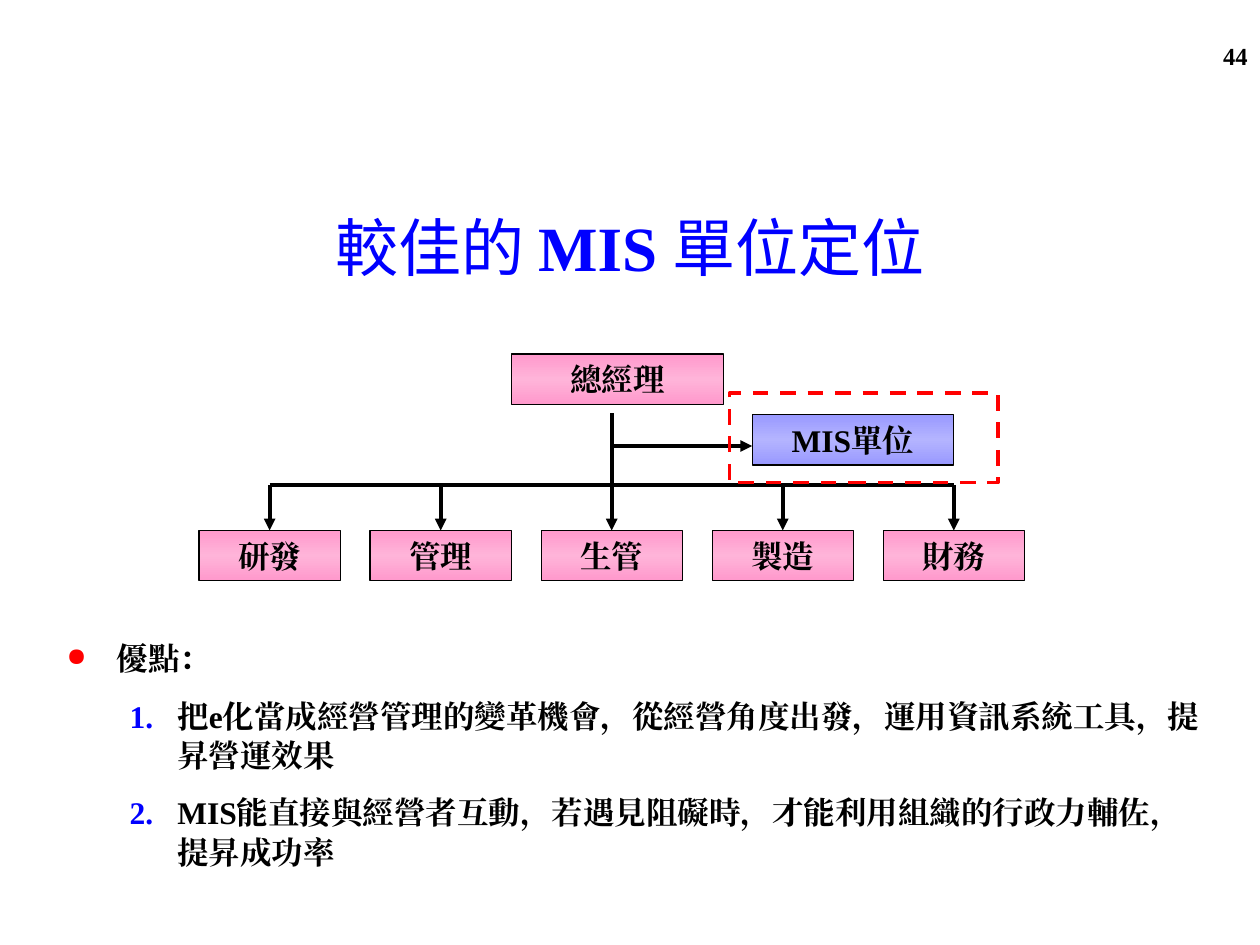
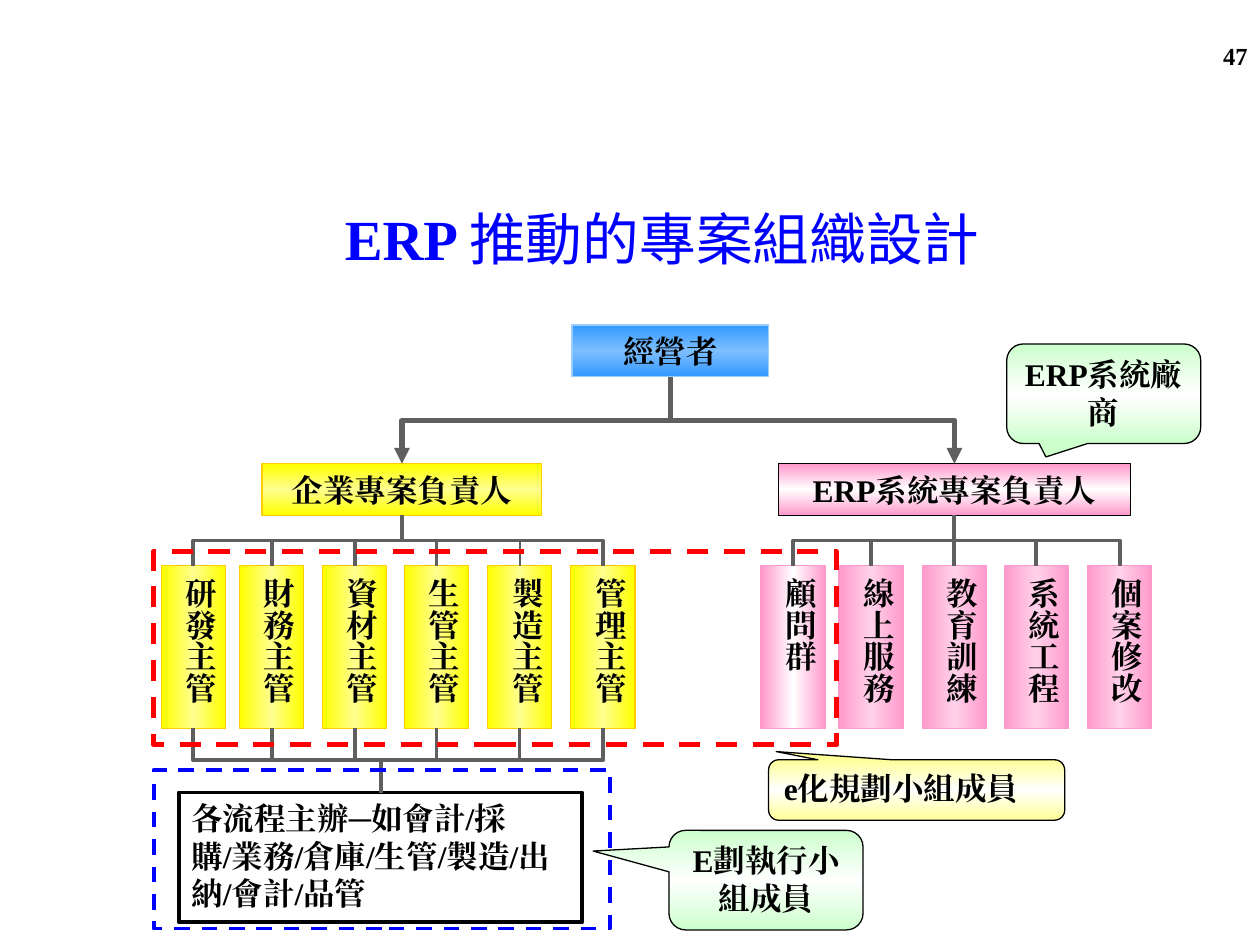
"""Build two slides on where the MIS unit sits and how an ERP project is organised."""
from copy import deepcopy

from lxml import etree
from pptx import Presentation
from pptx.dml.color import RGBColor
from pptx.enum.dml import MSO_LINE
from pptx.enum.shapes import MSO_CONNECTOR, MSO_SHAPE
from pptx.enum.text import MSO_ANCHOR, PP_ALIGN
from pptx.oxml.ns import qn
from pptx.util import Inches, Pt

RECTANGLE = MSO_SHAPE.RECTANGLE
CALLOUT = MSO_SHAPE.ROUNDED_RECTANGULAR_CALLOUT
STRAIGHT, ELBOW = MSO_CONNECTOR.STRAIGHT, MSO_CONNECTOR.ELBOW
LEFT, CENTER, RIGHT = PP_ALIGN.LEFT, PP_ALIGN.CENTER, PP_ALIGN.RIGHT
TOP, MIDDLE = MSO_ANCHOR.TOP, MSO_ANCHOR.MIDDLE
DASH = MSO_LINE.DASH
TOP_SIDE, BOTTOM_SIDE = 0, 2

LATIN, CJK = "Times New Roman", "Noto Sans CJK JP"
COLORS = {
    "black": "000000", "white": "FFFFFF", "red": "FF0000", "blue": "0000FF",
    "gray": "5F5F5F", "pink": "FF99CC", "pink_light": "FFB4D9", "pink_pale": "FFD2E9",
    "violet": "9999FF", "violet_light": "B4B4FF", "sky": "3399FF", "sky_light": "7DBEFF",
    "sky_edge": "99CCFF", "yellow": "FFFF00", "yellow_light": "FFFF8F", "gold": "FFCC00",
    "cream": "FFFF99", "mint": "CCFFCC",
}
PINK = ("pink", "pink_light")
PINK_WHITE = ("pink", "white")
PINK_PALE = ("pink", "pink_pale")
YELLOW = ("yellow", "yellow_light")
MINT = ("mint", "white")

DEPARTMENTS = ["研發", "管理", "生管", "製造", "財務"]
DEPARTMENT_LEFT, DEPARTMENT_STEP, DEPARTMENT_TOP = 1.58, 1.3575, 4.21
BUS_Y = 3.85
ADVANTAGES = [
    "優點：",
    "把e化當成經營管理的變革機會，從經營角度出發，運用資訊系統工具，提昇營運效果",
    "MIS能直接與經營者互動，若遇見阻礙時，才能利用組織的行政力輔佐，提昇成功率",
]

COLUMN_OFFSETS = [0, 0.62, 1.28, 1.93, 2.59, 3.25]
COLUMN_SIZE = (0.51, 1.29)
COLUMN_TOP = 4.49
COMPANY_TEAM = ["研發主管", "財務主管", "資材主管", "生管主管", "製造主管", "管理主管"]
THIN_COLUMNS = ("生管主管", "製造主管")
VENDOR_TEAM = ["顧問群", "線上服務", "教育訓練", "系統工程", "個案修改"]
PROCESS_OWNERS = "各流程主辦─如會計/採購/業務/倉庫/生管/製造/出納/會計/品管"
CALLOUTS = [
    ("e化規劃小組成員", (6.1, 6.03, 2.35, 0.48), ("cream", "white"), (-0.474, -0.636), LEFT),
    ("E劃執行小組成員", (5.31, 6.59, 1.54, 0.79), MINT, (-0.891, -0.292), CENTER),
    ("ERP系統廠商", (7.99, 2.73, 1.54, 0.79), MINT, (-0.298, 0.635), CENTER),
]


def color(name):
    return RGBColor.from_string(COLORS[name])


def inches(values):
    return [Inches(value) for value in values]


def style_run(run, size, ink="black", bold=True, east_asian=LATIN):
    run.font.size, run.font.bold, run.font.name = Pt(size), bold, LATIN
    run.font.color.rgb = color(ink)
    etree.SubElement(run.font._element, qn("a:ea")).set("typeface", east_asian)


def write(shape, text, align=CENTER, anchor=MIDDLE, size=18):
    frame = shape.text_frame
    frame.word_wrap, frame.vertical_anchor = True, anchor
    frame.text = text
    frame.paragraphs[0].alignment = align
    style_run(frame.paragraphs[0].runs[0], size)


def add_box(slide, area, fill=None, line="black", width=0.75, kind=RECTANGLE, across=False):
    shape = slide.shapes.add_shape(kind, *inches(area))
    shape.shadow.inherit = False
    if fill is None:
        shape.fill.background()
    elif isinstance(fill, str):
        shape.fill.solid()
        shape.fill.fore_color.rgb = color(fill)
    else:
        edge, middle = fill
        shape.fill.gradient()
        shape.fill.gradient_angle = 0 if across else 90
        first = shape.fill.gradient_stops[0]._gs
        first.addnext(deepcopy(first))
        for position, (stop, name) in enumerate(zip(shape.fill.gradient_stops, (edge, middle, edge))):
            stop.position = position / 2
            stop.color.rgb = color(name)
    if line is None:
        shape.line.fill.background()
    else:
        shape.line.color.rgb = color(line)
        shape.line.width = Pt(width)
    return shape


def add_label(slide, text, area, fill, line="black"):
    shape = add_box(slide, area, fill, line)
    write(shape, text)
    return shape


def add_frame(slide, area, line, width=2.25):
    add_box(slide, area, None, line, width).line.dash_style = DASH


def finish_line(connector, ink, width, arrow):
    connector.line.color.rgb = color(ink)
    connector.line.width = Pt(width)
    if arrow:
        etree.SubElement(connector.line._get_or_add_ln(), qn("a:tailEnd")).set("type", "triangle")
    etree.SubElement(connector._element.spPr, qn("a:effectLst"))


def add_line(slide, start, end, arrow=True, target=None):
    connector = slide.shapes.add_connector(STRAIGHT, *inches(start + end))
    if target is not None:
        connector.end_connect(target, TOP_SIDE)
    finish_line(connector, "black", 2.25, arrow)


def add_branch(slide, upper, lower, width=2.25, arrow=False):
    """Join the bottom of one box to the top of another with a vertical elbow."""
    connector = slide.shapes.add_connector(ELBOW, 0, 0, 0, 0)
    connector.begin_connect(upper, BOTTOM_SIDE)
    connector.end_connect(lower, TOP_SIDE)
    start_x, end_x = upper.left + upper.width // 2, lower.left + lower.width // 2
    start_y, end_y = upper.top + upper.height, lower.top
    drop, spread = end_y - start_y, abs(end_x - start_x)
    to_left = end_x < start_x
    frame = connector._element.spPr.find(qn("a:xfrm"))
    for name in ("flipH", "flipV"):
        frame.attrib.pop(name, None)
    frame.set("rot", "5400000" if to_left else "16200000")
    if not to_left:
        frame.set("flipH", "1")
    connector.left = (start_x + end_x - drop) // 2
    connector.top = (start_y + end_y - spread) // 2
    connector.width, connector.height = drop, spread
    finish_line(connector, "gray", width, arrow)


def add_base(presentation, number, title_area, title_runs, size):
    slide = presentation.slides.add_slide(presentation.slide_layouts[6])
    page = slide.shapes.add_textbox(*inches((7.67, 0.28, 2.33, 0.52)))
    write(page, number, RIGHT, TOP, 14)
    title = slide.shapes.add_textbox(*inches(title_area))
    title.text_frame.word_wrap, title.text_frame.vertical_anchor = True, MIDDLE
    paragraph = title.text_frame.paragraphs[0]
    paragraph.alignment = CENTER
    for text, bold in title_runs:
        run = paragraph.add_run()
        run.text = text
        style_run(run, size, "blue", bold, CJK)
        if not bold:
            run.font.name = CJK
    return slide


def add_bullet(paragraph, ink, margin, hanging, symbol=None):
    properties = paragraph._p.get_or_add_pPr()
    properties.set("marL", str(Inches(margin)))
    properties.set("indent", str(-Inches(hanging)))
    bullet_color = etree.SubElement(properties, qn("a:buClr"))
    etree.SubElement(bullet_color, qn("a:srgbClr")).set("val", COLORS[ink])
    if symbol:
        etree.SubElement(properties, qn("a:buSzPct")).set("val", "80000")
        etree.SubElement(properties, qn("a:buChar")).set("char", symbol)
    else:
        etree.SubElement(properties, qn("a:buAutoNum")).set("type", "arabicPeriod")


def add_advantages(slide):
    panel = add_box(slide, (0.43, 5.01, 9.29, 1.98), "white", None)
    frame = panel.text_frame
    frame.word_wrap, frame.vertical_anchor = True, TOP
    frame.text = "\n".join(ADVANTAGES)
    for index, paragraph in enumerate(frame.paragraphs):
        paragraph.alignment, paragraph.line_spacing = LEFT, 1.05
        if index == 0:
            add_bullet(paragraph, "red", 0.4, 0.4, "●")
        else:
            paragraph.level, paragraph.space_before = 1, Pt(10)
            add_bullet(paragraph, "blue", 0.88, 0.38)
        style_run(paragraph.runs[0], 18)


def build_position_slide(presentation):
    slide = add_base(presentation, "44", (0.78, 1.33, 8.44, 1.25),
                     [("較佳的 ", False), ("MIS ", True), ("單位定位", False)], 36)
    add_label(slide, "總經理", (4.06, 2.81, 1.68, 0.4), PINK)
    add_label(slide, "MIS單位", (5.97, 3.29, 1.6, 0.4), ("violet", "violet_light"))
    centers = []
    for index, name in enumerate(DEPARTMENTS):
        left = DEPARTMENT_LEFT + index * DEPARTMENT_STEP
        center = left + 0.56
        centers.append(center)
        box = add_label(slide, name, (left, DEPARTMENT_TOP, 1.12, 0.4), PINK)
        start_y = 3.28 if index == len(DEPARTMENTS) // 2 else BUS_Y
        add_line(slide, (center, start_y), (center, DEPARTMENT_TOP), target=box)
    add_line(slide, (centers[0], BUS_Y), (centers[-1], BUS_Y), arrow=False)
    add_line(slide, (centers[2], 3.54), (5.97, 3.54))
    add_advantages(slide)
    add_frame(slide, (5.79, 3.12, 2.13, 0.71), "red")


def add_team(slide, names, left, fills, line):
    columns = []
    for name, offset, fill in zip(names, COLUMN_OFFSETS, fills):
        column = add_box(slide, (left + offset, COLUMN_TOP, *COLUMN_SIZE), fill, line, across=True)
        write(column, name, LEFT, TOP)
        column.text_frame._txBody.bodyPr.set("vert", "eaVert")
        columns.append(column)
    return columns


def build_organisation_slide(presentation):
    slide = add_base(presentation, "47", (1.48, 1.56, 7.55, 0.65),
                     [("ERP ", True), ("推動的專案組織設計", False)], 32.4)
    owner = add_label(slide, "經營者", (4.54, 2.58, 1.56, 0.41), ("sky", "sky_light"), "sky_edge")
    company_lead = add_label(slide, "企業專案負責人", (2.08, 3.68, 2.22, 0.41), YELLOW, "gold")
    vendor_lead = add_label(slide, "ERP系統專案負責人", (6.18, 3.68, 2.79, 0.41), PINK_WHITE)
    company = add_team(slide, COMPANY_TEAM, 1.28, [YELLOW] * 6, "gold")
    vendor = add_team(slide, VENDOR_TEAM, 6.04, [PINK_WHITE] + [PINK_PALE] * 4, "pink")
    process_box = add_box(slide, (1.42, 6.29, 3.2, 1.03), "white", width=2.25)
    write(process_box, PROCESS_OWNERS, LEFT, TOP)

    for lead in (company_lead, vendor_lead):
        add_branch(slide, owner, lead, 3, True)
    for name, column in zip(COMPANY_TEAM, company):
        width = 1.5 if name in THIN_COLUMNS else 2.25
        add_branch(slide, company_lead, column, width)
        add_branch(slide, column, process_box, width)
    for column in vendor:
        add_branch(slide, vendor_lead, column)

    add_frame(slide, (1.22, 4.38, 5.42, 1.53), "red", 3)
    add_frame(slide, (1.22, 6.11, 3.62, 1.26), "blue")
    for text, area, fill, pointer, align in CALLOUTS:
        callout = add_box(slide, area, fill, kind=CALLOUT)
        for index, value in enumerate(pointer):
            callout.adjustments[index] = value
        write(callout, text, align, TOP)


def main():
    presentation = Presentation()
    presentation.slide_width, presentation.slide_height = Inches(10), Inches(7.5)
    build_position_slide(presentation)
    build_organisation_slide(presentation)
    presentation.save("out.pptx")


if __name__ == "__main__":
    main()
